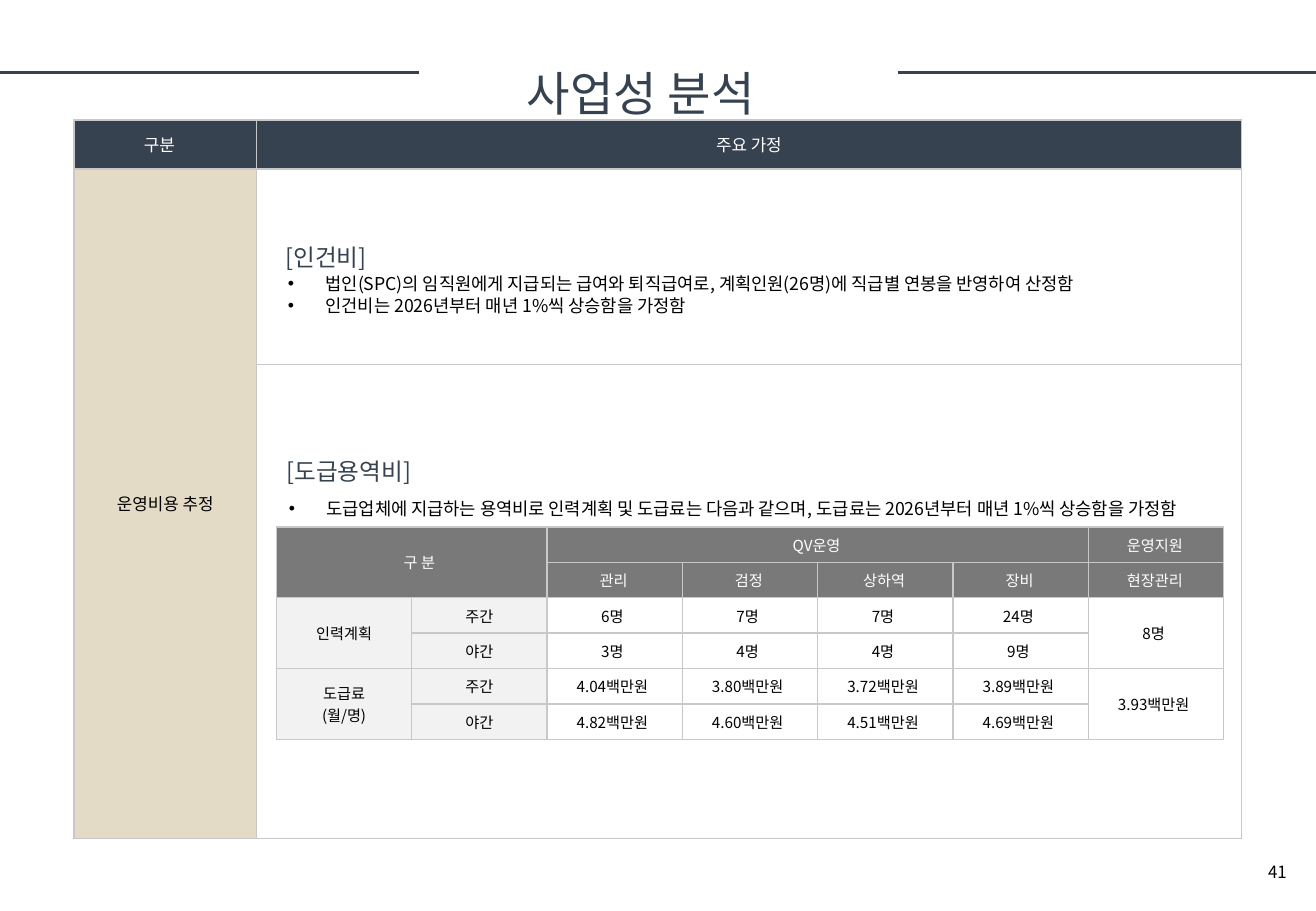
from dataclasses import dataclass

from lxml.etree import SubElement
from pptx import Presentation
from pptx.dml.color import RGBColor
from pptx.enum.shapes import MSO_CONNECTOR
from pptx.enum.text import MSO_ANCHOR, MSO_AUTO_SIZE, PP_ALIGN
from pptx.oxml.ns import qn
from pptx.util import Cm, Pt

NAVY = RGBColor(0x36, 0x42, 0x50)
SAND = RGBColor(0xE4, 0xDB, 0xC6)
GRAY = RGBColor(0x79, 0x79, 0x79)
PALE = RGBColor(0xF2, 0xF2, 0xF2)
BORDER = RGBColor(0xC8, 0xC8, 0xCA)
WHITE = RGBColor(0xFF, 0xFF, 0xFF)
BLACK = RGBColor(0x00, 0x00, 0x00)
FONT = "Noto Sans CJK KR"
BULLET_INDENT = Cm(0.79)


@dataclass(frozen=True)
class Caption:
    lines: tuple[str, ...]
    left: float
    top: float
    width: float
    height: float
    size: float
    color: RGBColor = BLACK
    align: PP_ALIGN = PP_ALIGN.LEFT
    spacing: float | None = None
    bullets: bool = False
    anchor: MSO_ANCHOR = MSO_ANCHOR.TOP
    grows: bool = True


@dataclass(frozen=True)
class Entry:
    row: int
    column: int
    text: str = ""
    fill: RGBColor | None = None
    color: RGBColor = BLACK
    rows: int = 1
    columns: int = 1
    margins: tuple[float, float, float, float] = (0, 0, 0, 0)


@dataclass(frozen=True)
class Grid:
    left: float
    top: float
    widths: list[float]
    heights: list[float]
    size: float
    entries: list[Entry]


CELL_MARGINS = (0.25, 0.13, 0.25, 0.13)
HEADER_MARGINS = (0, 0, 0.05, 0)
VALUE_MARGINS = (0, 0, 0.1, 0)

ASSUMPTIONS = Grid(1.55, 2.51, [3.81, 20.6], [1.02, 4.09, 9.91], 10, [
    Entry(0, 0, "구분", NAVY, WHITE, margins=(0, 0.13, 0.25, 0.13)),
    Entry(0, 1, "주요 가정", NAVY, WHITE, margins=CELL_MARGINS),
    Entry(1, 0, "운영비용 추정", SAND, rows=2, margins=CELL_MARGINS),
])

DUTIES = ["관리", "검정", "상하역", "장비", "현장관리"]
SHIFT_VALUES = [
    ["6명", "7명", "7명", "24명"],
    ["3명", "4명", "4명", "9명"],
    ["4.04백만원", "3.80백만원", "3.72백만원", "3.89백만원"],
    ["4.82백만원", "4.60백만원", "4.51백만원", "4.69백만원"],
]
GROUPS = [("인력계획", "8명"), ("도급료\n(월/명)", "3.93백만원")]

OUTSOURCING = Grid(5.78, 11.02, [2.83] * 7, [0.74] * 6, 9, [
    Entry(0, 0, "구 분", GRAY, WHITE, 2, 2, (0.32, 0, 0, 0)),
    Entry(0, 2, "QV운영", GRAY, WHITE, 1, 4, HEADER_MARGINS),
    Entry(0, 6, "운영지원", GRAY, WHITE, margins=HEADER_MARGINS),
    *(Entry(1, column, duty, GRAY, WHITE, margins=HEADER_MARGINS)
      for column, duty in enumerate(DUTIES, 2)),
    *(Entry(2 + 2 * index, 0, group, PALE, rows=2)
      for index, (group, _) in enumerate(GROUPS)),
    *(Entry(2 + 2 * index, 6, support, rows=2, margins=VALUE_MARGINS)
      for index, (_, support) in enumerate(GROUPS)),
    *(Entry(2 + index, 1, ("주간", "야간")[index % 2], PALE) for index in range(4)),
    *(Entry(row, column, value, margins=VALUE_MARGINS)
      for row, values in enumerate(SHIFT_VALUES, 2)
      for column, value in enumerate(values, 2)),
])

CAPTIONS = [
    Caption(("41",), 20.96, 17.73, 6.2, 1.02, 10, align=PP_ALIGN.RIGHT,
            anchor=MSO_ANCHOR.MIDDLE, grows=False),
    Caption(("사업성 분석",), 10.77, 0.03, 9.98, 2.36, 28, NAVY,
            PP_ALIGN.JUSTIFY, 2.0),
    Caption(("[인건비]",), 5.72, 4.95, 13.79, 0.86, 14, NAVY),
    Caption(("법인(SPC)의 임직원에게 지급되는 급여와 퇴직급여로, 계획인원(26명)에 직급별 연봉을 반영하여 산정함",
             "인건비는 2026년부터 매년 1%씩 상승함을 가정함"),
            5.77, 5.59, 19.61, 1.14, 10.5, bullets=True),
    Caption(("[도급용역비]",), 5.74, 9.42, 13.79, 0.86, 14, NAVY),
    Caption(("도급업체에 지급하는 용역비로 인력계획 및 도급료는 다음과 같으며, "
             "도급료는 2026년부터 매년 1%씩 상승함을 가정함",),
            5.79, 10.06, 19.99, 0.86, 10.5, spacing=1.5, bullets=True),
]


def set_font(paragraph, size: float, color: RGBColor) -> None:
    paragraph.font.size = Pt(size)
    paragraph.font.name = FONT
    paragraph.font.color.rgb = color
    defaults = paragraph._p.pPr.find(qn("a:defRPr"))
    SubElement(defaults, qn("a:ea"), typeface=FONT)


def add_bullet(paragraph) -> None:
    properties = paragraph._p.get_or_add_pPr()
    properties.set("marL", str(BULLET_INDENT))
    properties.set("indent", str(-BULLET_INDENT))
    SubElement(properties, qn("a:buFont"), typeface="Arial")
    SubElement(properties, qn("a:buChar"), char="•")


def add_caption(slide, caption: Caption) -> None:
    box = slide.shapes.add_textbox(Cm(caption.left), Cm(caption.top),
                                   Cm(caption.width), Cm(caption.height))
    frame = box.text_frame
    frame.word_wrap = True
    frame.auto_size = (MSO_AUTO_SIZE.SHAPE_TO_FIT_TEXT if caption.grows
                       else MSO_AUTO_SIZE.NONE)
    frame.vertical_anchor = caption.anchor
    frame.text = "\n".join(caption.lines)
    for paragraph in frame.paragraphs:
        paragraph.alignment = caption.align
        if caption.spacing:
            paragraph.line_spacing = caption.spacing
        if caption.bullets:
            add_bullet(paragraph)
        set_font(paragraph, caption.size, caption.color)


def set_borders(cell) -> None:
    properties = cell._tc.get_or_add_tcPr()
    for index, side in enumerate(("a:lnL", "a:lnR", "a:lnT", "a:lnB")):
        line = properties.makeelement(qn(side), {"w": str(Pt(1))})
        fill = SubElement(line, qn("a:solidFill"))
        SubElement(fill, qn("a:srgbClr"), val=str(BORDER))
        properties.insert(index, line)


def fill_entry(table, entry: Entry, size: float) -> None:
    cell = table.cell(entry.row, entry.column)
    if entry.rows * entry.columns > 1:
        cell.merge(table.cell(entry.row + entry.rows - 1,
                              entry.column + entry.columns - 1))
    if entry.fill is not None:
        cell.fill.solid()
        cell.fill.fore_color.rgb = entry.fill
    cell.vertical_anchor = MSO_ANCHOR.MIDDLE
    (cell.margin_left, cell.margin_top,
     cell.margin_right, cell.margin_bottom) = map(Cm, entry.margins)
    cell.text = entry.text
    for paragraph in cell.text_frame.paragraphs:
        paragraph.alignment = PP_ALIGN.CENTER
        set_font(paragraph, size, entry.color)


def add_grid(slide, grid: Grid) -> None:
    table = slide.shapes.add_table(
        len(grid.heights), len(grid.widths), Cm(grid.left), Cm(grid.top),
        Cm(sum(grid.widths)), Cm(sum(grid.heights))).table
    table.first_row = table.horz_banding = False
    for column, width in zip(table.columns, grid.widths):
        column.width = Cm(width)
    for row, height in zip(table.rows, grid.heights):
        row.height = Cm(height)
    for cell in table.iter_cells():
        cell.fill.background()
        set_borders(cell)
    for entry in grid.entries:
        fill_entry(table, entry, grid.size)


def add_title_rule(slide, start: float, end: float) -> None:
    rule = slide.shapes.add_connector(MSO_CONNECTOR.STRAIGHT, Cm(start), Cm(1.52),
                                      Cm(end), Cm(1.52))
    rule.line.color.rgb = NAVY
    rule.line.width = Pt(1.75)
    SubElement(rule._element.spPr, qn("a:effectLst"))


def main() -> None:
    presentation = Presentation()
    presentation.slide_width = Cm(27.52)
    presentation.slide_height = Cm(19.05)
    slide = presentation.slides.add_slide(presentation.slide_layouts[6])
    for start, end in ((8.76, 0), (18.77, 27.52)):
        add_title_rule(slide, start, end)
    add_grid(slide, ASSUMPTIONS)
    for caption in CAPTIONS:
        add_caption(slide, caption)
    add_grid(slide, OUTSOURCING)
    presentation.save("out.pptx")


if __name__ == "__main__":
    main()
